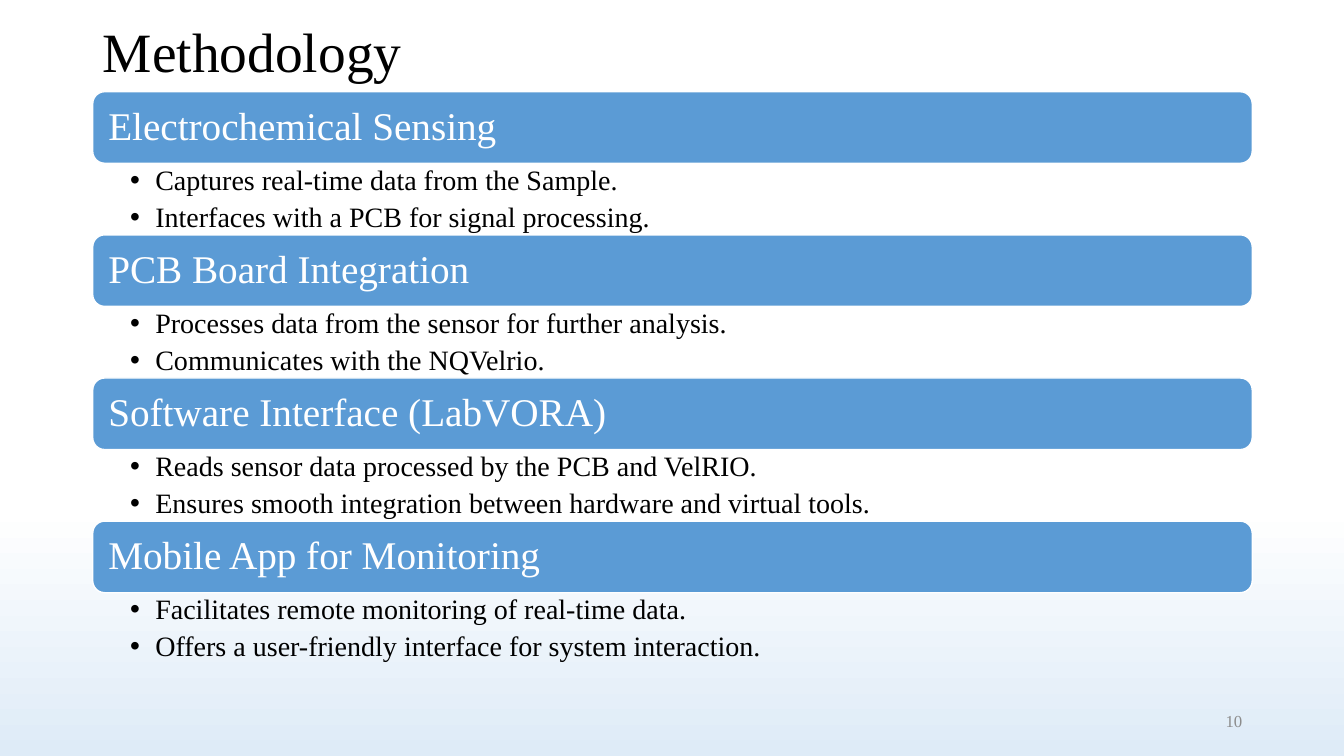
from lxml import etree
from pptx import Presentation
from pptx.dml.color import RGBColor
from pptx.enum import shapes, text
from pptx.oxml import ns
from pptx.util import Inches, Pt

FONT = "Times New Roman"
WHITE = RGBColor(0xFF, 0xFF, 0xFF)
BLACK = RGBColor(0, 0, 0)
BLUE = RGBColor(0x5B, 0x9B, 0xD5)
PALE_BLUE = RGBColor(0xDE, 0xEB, 0xF7)
GREY = RGBColor(0x8C, 0x8C, 0x8C)

LEFT, WIDTH = 0.92, 11.5
STAGES_TOP, STAGE_HEIGHT, HEADING_HEIGHT = 0.91, 1.42, 0.71
COMPARISON_LAYOUT = 4

STAGES = [
    ("Electrochemical Sensing",
     ["Captures real-time data from the Sample.",
      "Interfaces with a PCB for signal processing."]),
    ("PCB Board Integration",
     ["Processes data from the sensor for further analysis.",
      "Communicates with the NQVelrio."]),
    ("Software Interface (LabVORA)",
     ["Reads sensor data processed by the PCB and VelRIO.",
      "Ensures smooth integration between hardware and virtual tools."]),
    ("Mobile App for Monitoring",
     ["Facilitates remote monitoring of real-time data.",
      "Offers a user-friendly interface for system interaction."]),
]


def place(item, left, top, width, height):
    item.left, item.top = Inches(left), Inches(top)
    item.width, item.height = Inches(width), Inches(height)


def add_bullet(paragraph):
    properties = paragraph._p.get_or_add_pPr()
    properties.set("marL", str(Inches(0.25)))
    properties.set("indent", str(-Inches(0.25)))
    etree.SubElement(properties, ns.qn("a:buChar")).set("char", "•")


def write(frame, lines, size, color=BLACK, align=text.PP_ALIGN.LEFT,
          anchor=text.MSO_ANCHOR.MIDDLE, margins=(0.1, 0.05, 0.1, 0.05),
          line_spacing=0.9, space_after=0, bulleted=False):
    frame.word_wrap = True
    frame.auto_size = text.MSO_AUTO_SIZE.NONE
    frame.vertical_anchor = anchor
    (frame.margin_left, frame.margin_top,
     frame.margin_right, frame.margin_bottom) = map(Inches, margins)
    for number, line in enumerate(lines):
        paragraph = frame.add_paragraph() if number else frame.paragraphs[0]
        if bulleted:
            paragraph.level = 1
            add_bullet(paragraph)
        paragraph.alignment = align
        paragraph.line_spacing = line_spacing
        paragraph.space_before = Pt(0)
        paragraph.space_after = Pt(space_after)
        run = paragraph.add_run()
        run.text = line
        run.font.name = FONT
        run.font.size = Pt(size)
        run.font.bold = False
        run.font.color.rgb = color


def paint_background(slide):
    fill = slide.background.fill
    fill.gradient()
    fill.gradient_angle = 270
    for stop, position, color in zip(fill.gradient_stops, (0.67, 1), (WHITE, PALE_BLUE)):
        stop.position = position
        stop.color.rgb = color


def add_title(slide, left, top, width, height):
    title = slide.shapes.title
    place(title, left, top, width, height)
    write(title.text_frame, ["Methodology"], 39.6)


def add_stage(slide, details, heading, points, left, top, width, height):
    bar = slide.shapes.add_shape(
        shapes.MSO_SHAPE.ROUNDED_RECTANGLE,
        Inches(left), Inches(top), Inches(width), Inches(HEADING_HEIGHT))
    bar.shadow.inherit = False
    bar.fill.solid()
    bar.fill.fore_color.rgb = BLUE
    bar.line.color.rgb = WHITE
    bar.line.width = Pt(1)
    write(bar.text_frame, [heading], 28, color=WHITE, margins=(0.12,) * 4)

    place(details, left, top + HEADING_HEIGHT, width, height - HEADING_HEIGHT)
    write(details.text_frame, points, 20, anchor=text.MSO_ANCHOR.TOP,
          margins=(0.37, 0.03, 0.16, 0.03), space_after=4.6, bulleted=True)


def add_page_number(slide, left, top, width, height):
    page_number = slide.shapes.add_textbox(
        Inches(left), Inches(top), Inches(width), Inches(height))
    write(page_number.text_frame, ["10"], 12, color=GREY,
          align=text.PP_ALIGN.RIGHT, line_spacing=1.0)


def main():
    deck = Presentation()
    deck.slide_width, deck.slide_height = Inches(13.33), Inches(7.5)
    slide = deck.slides.add_slide(deck.slide_layouts[COMPARISON_LAYOUT])
    paint_background(slide)
    add_title(slide, LEFT, 0.19, WIDTH, 0.71)
    bodies = list(slide.placeholders)[1:]
    for row, (details, (heading, points)) in enumerate(zip(bodies, STAGES)):
        add_stage(slide, details, heading, points,
                  LEFT, STAGES_TOP + row * STAGE_HEIGHT, WIDTH, STAGE_HEIGHT)
    add_page_number(slide, 9.42, 6.95, 3, 0.4)
    deck.save("out.pptx")


if __name__ == "__main__":
    main()
